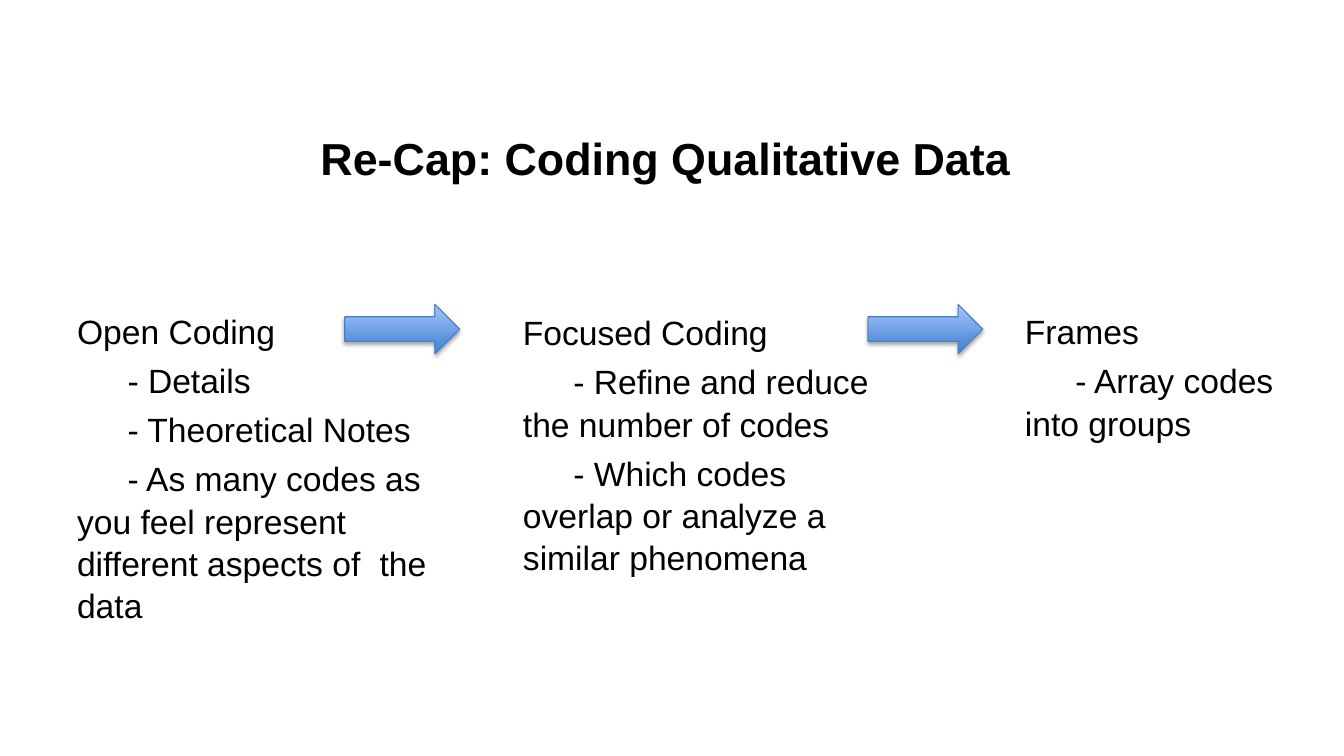
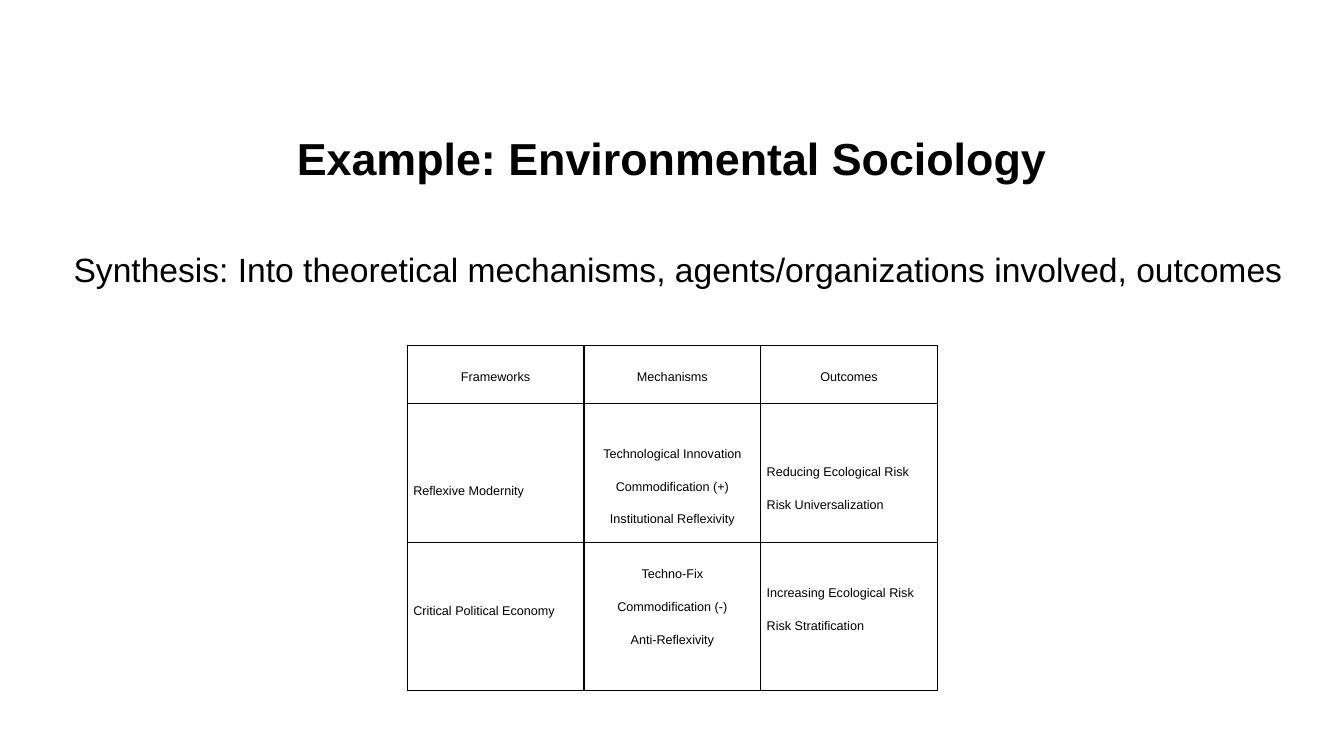
import pptx
import pptx.util
import pptx.dml.color
import pptx.enum.shapes
import pptx.enum.text
import pptx.oxml
import pptx.oxml.ns

Pt = pptx.util.Pt
Inches = pptx.util.Inches
RGB = pptx.dml.color.RGBColor
ALIGN = pptx.enum.text.PP_ALIGN
ANCHOR = pptx.enum.text.MSO_ANCHOR
NS = pptx.oxml.ns.nsdecls("a")

BLACK = RGB(0, 0, 0)
DEEP = RGB(0x3F, 0x80, 0xCE)
PALE = RGB(0xA4, 0xC4, 0xFF)
EDGE = RGB(0x4B, 0x7E, 0xBC)
FONT = "Arial"

deck = pptx.Presentation()
deck.slide_width = Inches(13.33)
deck.slide_height = Inches(7.5)
COL = deck.slide_width / 40
ROW = deck.slide_height / 30


def grid(left, top, wide, high):
    """Turn grid columns and rows into slide lengths."""
    return int(left * COL), int(top * ROW), int(wide * COL), int(high * ROW)


def write(frame, lines, size, bold=False, align=ALIGN.LEFT, gap=0, pitch=1.0):
    """Fill a text frame with lines in the deck's font."""
    frame.word_wrap = True
    frame.text = "\n".join(lines)
    for num, para in enumerate(frame.paragraphs):
        para.alignment = align
        para.line_spacing = pitch
        para.space_before = Pt(gap if num else 0)
        for run in para.runs:
            run.font.name = FONT
            run.font.size = Pt(size)
            run.font.bold = bold
            run.font.color.rgb = BLACK


BODY = dict(size=24, gap=4.8, pitch=1.05)
TITLES = ["Re-Cap: Coding Qualitative Data ", "Example: Environmental Sociology"]
slides = []
for title in TITLES:
    slide = deck.slides.add_slide(deck.slide_layouts[6])
    frame = slide.shapes.add_textbox(*grid(2, 3.92, 36, 4.68)).text_frame
    frame.vertical_anchor = ANCHOR.MIDDLE
    write(frame, [title], 32, bold=True, align=ALIGN.CENTER)
    slides.append(slide)
recap, sample = slides

# Recap: three stages joined by arrows
STAGES = [
    (2, 12.08, 11.2, ["Open Coding", "\t- Details ", "\t- Theoretical Notes",
                      "\t- As many codes as \tyou feel represent "
                      "\tdifferent aspects of \tthe data  "]),
    (15.27, 12.12, 11.85, ["Focused Coding",
                           "\t- Refine and reduce \tthe number of codes ",
                           "\t- Which codes \toverlap or analyze a "
                           "\tsimilar phenomena"]),
    (30.21, 12.08, 9.78, ["Frames", "\t- Array codes \tinto groups "]),
]
stops = "".join(f'<a:tab pos="{Inches(n / 2)}" algn="l"/>' for n in range(1, 9))
for left, top, wide, lines in STAGES:
    frame = recap.shapes.add_textbox(*grid(left, top, wide, 2.92)).text_frame
    write(frame, lines, **BODY)
    for para in frame.paragraphs:
        para._p.get_or_add_pPr().append(
            pptx.oxml.parse_xml(f"<a:tabLst {NS}>{stops}</a:tabLst>"))

SHADOW = (f'<a:outerShdw {NS} blurRad="{Pt(3.1)}" dist="{Pt(1.8)}" dir="5400000" '
          'rotWithShape="0"><a:srgbClr val="000000"><a:alpha val="35000"/>'
          '</a:srgbClr></a:outerShdw>')
for left in (10.26, 25.83):
    arrow = recap.shapes.add_shape(pptx.enum.shapes.MSO_SHAPE.RIGHT_ARROW,
                                   *grid(left, 12.08, 3.42, 1.96))
    arrow.fill.gradient()
    arrow.fill.gradient_angle = 90
    for stop, tint in zip(arrow.fill.gradient_stops, (DEEP, PALE)):
        stop.color.rgb = tint
    arrow.line.color.rgb = EDGE
    arrow.line.width = Pt(0.75)
    arrow.shadow.inherit = False
    effects = arrow._element.spPr.find(pptx.oxml.ns.qn("a:effectLst"))
    effects.append(pptx.oxml.parse_xml(SHADOW))

# Sample: lead line above a table
frame = sample.shapes.add_textbox(*grid(1.8, 9.52, 38.73, 2.84)).text_frame
frame.margin_left = frame.margin_right = Inches(0.13)
frame.margin_top = frame.margin_bottom = Inches(0.07)
write(frame, ["Synthesis: Into theoretical mechanisms, "
              "agents/organizations involved, outcomes"], **BODY)

# Each cell: line steps down from the top edge, then its text
CELLS = [
    [(1, ["Frameworks"]), (1, ["Mechanisms"]), (1, ["Outcomes"])],
    [(4, ["Reflexive Modernity"]),
     (2, ["Technological Innovation", "Commodification (+)",
          "Institutional Reflexivity"]),
     (3, ["Reducing Ecological Risk", "Risk Universalization\u00a0"])],
    [(3, ["Critical Political Economy"]),
     (1, ["Techno-Fix", "Commodification (-)", "Anti-Reflexivity"]),
     (2, ["Increasing Ecological Risk\u00a0", "Risk Stratification"])],
]
HIGHS = [0.57, 1.38, 1.47]
STEP = 13.4
PAD = Inches(0.06)
table = sample.shapes.add_table(3, 3, *grid(12.12, 13.72, 15.78, 13.68)).table
table.first_row = table.horz_banding = False
for row, high in zip(table.rows, HIGHS):
    row.height = Inches(high)
for r, cells in enumerate(CELLS):
    for c, (steps, lines) in enumerate(cells):
        cell = table.cell(r, c)
        cell.fill.background()
        cell.margin_left = cell.margin_right = cell.margin_bottom = PAD
        cell.margin_top = PAD + Pt(STEP * steps)
        middle = r == 0 or c == 1
        write(cell.text_frame, lines, 9, gap=STEP,
              align=ALIGN.CENTER if middle else ALIGN.LEFT)
        props = cell._tc.get_or_add_tcPr()
        for spot, side in enumerate("LRTB"):
            props.insert(spot, pptx.oxml.parse_xml(
                f'<a:ln{side} {NS} w="{Pt(1)}"><a:solidFill>'
                f'<a:srgbClr val="{BLACK}"/></a:solidFill></a:ln{side}>'))

deck.save("out.pptx")
